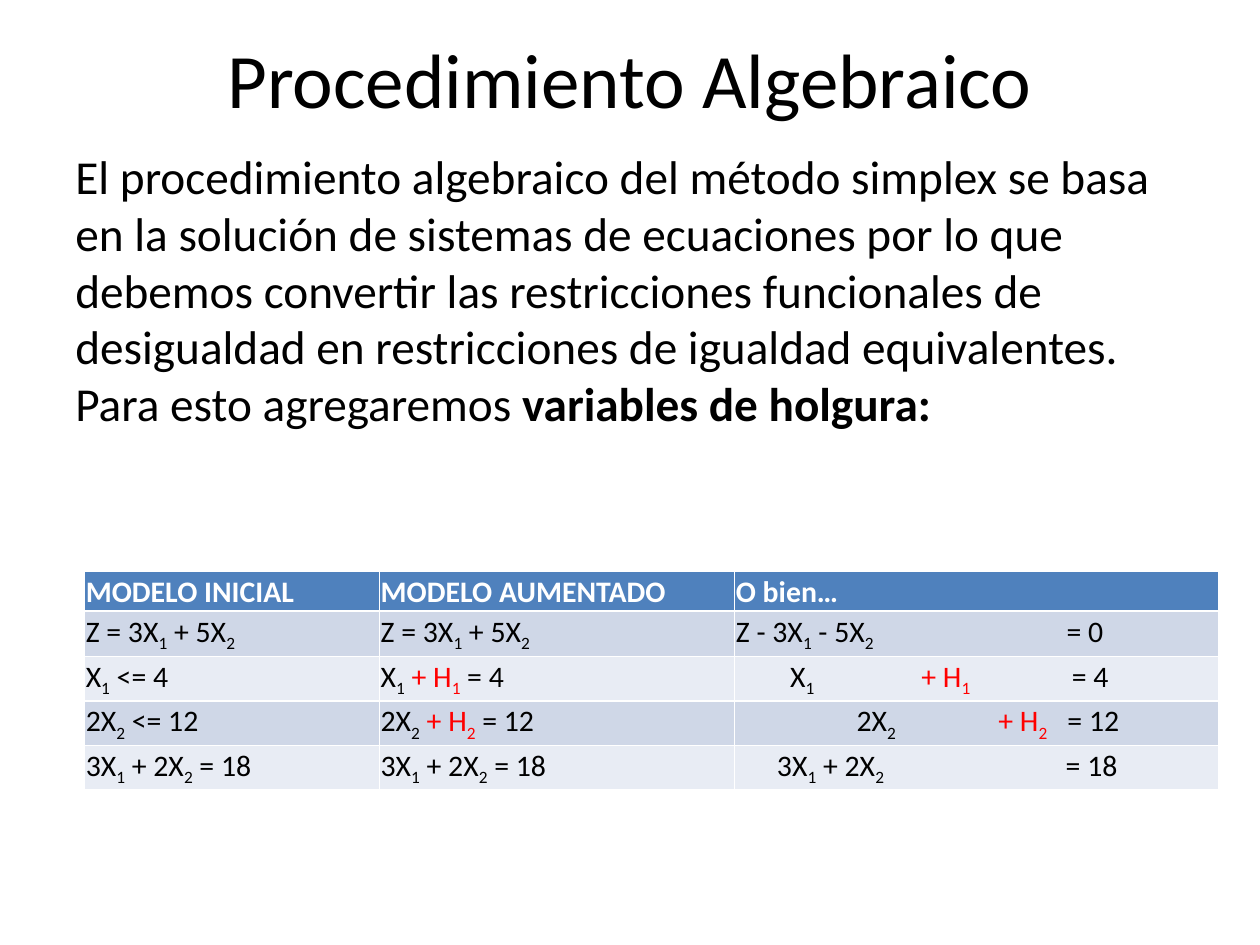
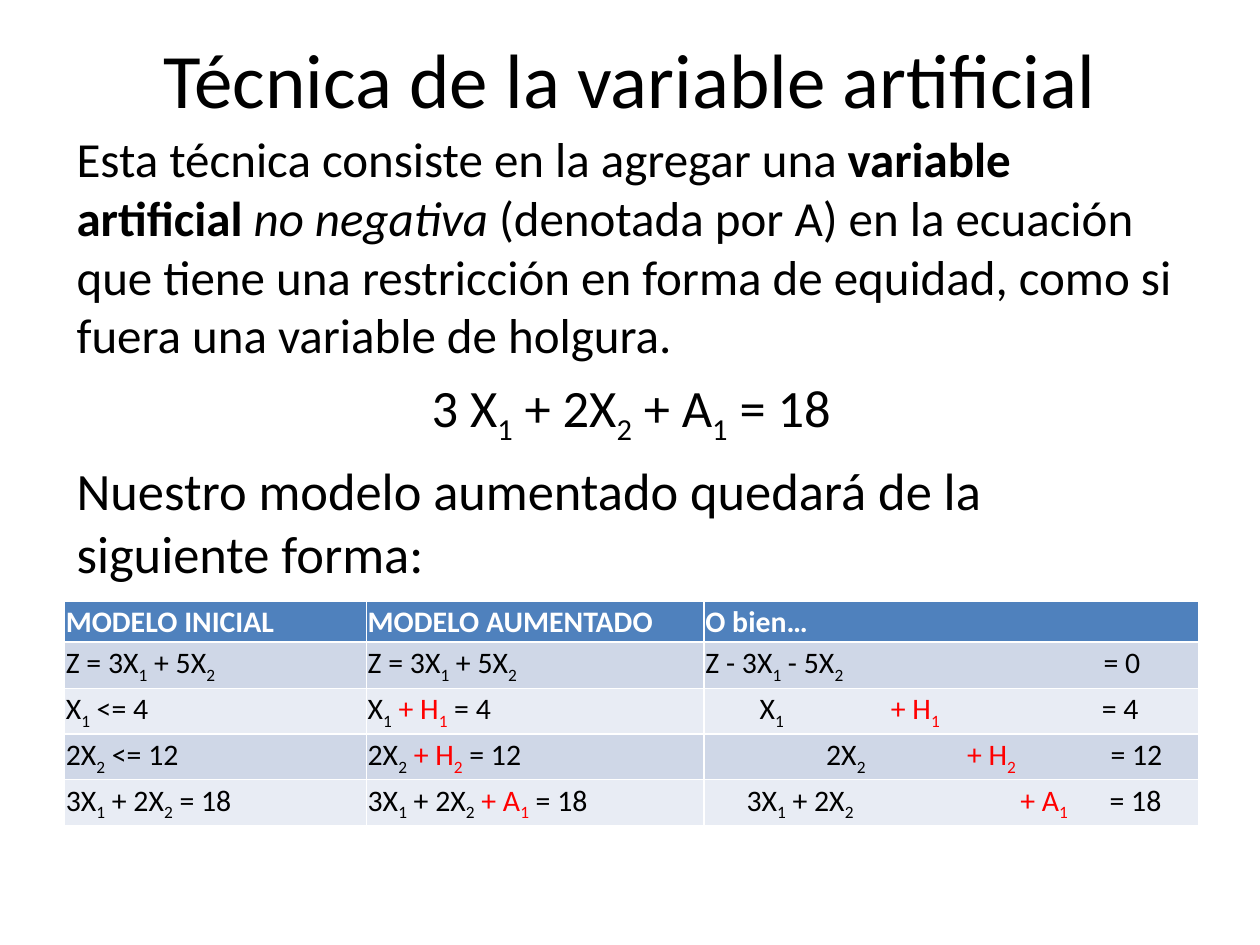
from lxml import etree
from pptx import Presentation
from pptx.dml.color import RGBColor
from pptx.enum import text
from pptx.oxml import ns
from pptx.util import Pt

BLACK = RGBColor(0x00, 0x00, 0x00)
WHITE = RGBColor(0xFF, 0xFF, 0xFF)
RED = RGBColor(0xFF, 0x00, 0x00)
HEADER_BLUE = RGBColor(0x4F, 0x81, 0xBD)
BANDS = (RGBColor(0xCF, 0xD7, 0xE7), RGBColor(0xE8, 0xEC, 0xF4))
FONT = "Calibri"
TABLE_SIZE = 17
BODY_WIDTH = 648

HEADERS = ["MODELO INICIAL", "MODELO AUMENTADO", "O bien…"]
INITIAL = ["Z = 3X_1 + 5X_2", "X_1 <= 4", "2X_2 <= 12", "3X_1 + 2X_2 = 18"]
AUGMENTED = ["Z = 3X_1 + 5X_2", "X_1 {+ H_1} = 4", "2X_2 {+ H_2} = 12"]


def style(paragraph, size, color=BLACK, bold=False):
    font = paragraph.font
    font.name = FONT
    font.size = Pt(size)
    font.bold = bold
    font.color.rgb = color


def add_formula(paragraph, formula):
    for index, part in enumerate(formula.replace("}", "{").split("{")):
        color = RED if index % 2 else None
        base, *indexed = part.split("_")
        add_run(paragraph, base, color)
        for piece in indexed:
            add_run(paragraph, piece[0], color, subscript=True)
            add_run(paragraph, piece[1:], color)


def add_run(paragraph, words, color=None, subscript=False):
    if not words:
        return
    run = paragraph.add_run()
    run.text = words
    if color is not None:
        run.font.color.rgb = color
    if subscript:
        run._r.get_or_add_rPr().set("baseline", "-25000")


def add_text_box(slide, left, top, height, anchor=text.MSO_ANCHOR.TOP):
    box = slide.shapes.add_textbox(Pt(left), Pt(top), Pt(BODY_WIDTH), Pt(height))
    frame = box.text_frame
    frame.word_wrap = True
    frame.vertical_anchor = anchor
    frame.margin_left = frame.margin_right = Pt(7.2)
    frame.margin_top = frame.margin_bottom = Pt(7.2)
    return frame


def add_title(slide, title):
    frame = add_text_box(slide, 36, 0, 89, text.MSO_ANCHOR.MIDDLE)
    paragraph = frame.paragraphs[0]
    paragraph.text = title
    paragraph.alignment = text.PP_ALIGN.CENTER
    style(paragraph, 44)


def add_sentence(paragraph, size, *pieces):
    style(paragraph, size)
    for words, bold, italic in pieces:
        run = paragraph.add_run()
        run.text = words
        if bold:
            run.font.bold = True
        if italic:
            run.font.italic = True


def add_paragraph(frame, size, formula, alignment=text.PP_ALIGN.LEFT):
    paragraph = frame.add_paragraph()
    paragraph.alignment = alignment
    paragraph.space_before = Pt(6.4)
    style(paragraph, size)
    add_formula(paragraph, formula)


def set_tabs(paragraph, stops):
    tab_list = etree.SubElement(paragraph._p.get_or_add_pPr(), ns.qn("a:tabLst"))
    for stop in stops:
        etree.SubElement(tab_list, ns.qn("a:tab"), pos=str(Pt(stop)), algn="l")


def set_borders(cell, widths):
    properties = cell._tc.get_or_add_tcPr()
    for side, width in zip("LRTB", widths):
        line = etree.SubElement(properties, ns.qn("a:ln" + side), w=str(Pt(width)))
        fill = etree.SubElement(line, ns.qn("a:solidFill"))
        etree.SubElement(fill, ns.qn("a:srgbClr"), val=str(WHITE))


def fill_cell(cell, row, formula, stops=()):
    cell.margin_left = cell.margin_right = cell.margin_top = Pt(0.72)
    cell.margin_bottom = 0
    cell.vertical_anchor = text.MSO_ANCHOR.MIDDLE
    set_borders(cell, (1, 1, 1.5 if row == 1 else 1, 1.5 if row == 0 else 1))
    cell.fill.solid()
    cell.fill.fore_color.rgb = BANDS[(row - 1) % 2] if row else HEADER_BLUE
    paragraph = cell.text_frame.paragraphs[0]
    if stops:
        set_tabs(paragraph, stops)
    style(paragraph, TABLE_SIZE, BLACK if row else WHITE, bold=row == 0)
    add_formula(paragraph, formula)


def add_model_table(slide, left, top, widths, heights, augmented, aligned):
    rows = len(INITIAL) + 1
    table = slide.shapes.add_table(rows, len(widths), Pt(left), Pt(top),
                                   Pt(sum(widths)), Pt(sum(heights))).table
    for column, width in zip(table.columns, widths):
        column.width = Pt(width)
    for row, height in zip(table.rows, heights):
        row.height = Pt(height)
    for column, header in enumerate(HEADERS):
        fill_cell(table.cell(0, column), 0, header)
    for row, (start, full, (equation, stops)) in enumerate(
            zip(INITIAL, augmented, aligned), 1):
        fill_cell(table.cell(row, 0), row, start)
        fill_cell(table.cell(row, 1), row, full)
        fill_cell(table.cell(row, 2), row, equation, stops)


def add_procedure_slide(slide):
    add_title(slide, "Procedimiento Algebraico")
    frame = add_text_box(slide, 36, 77, 181.5)
    add_sentence(
        frame.paragraphs[0], 27,
        ("El procedimiento algebraico del método simplex se basa en la solución "
         "de sistemas de ecuaciones por lo que debemos convertir las restricciones "
         "funcionales de desigualdad en restricciones de igualdad equivalentes. "
         "Para esto agregaremos ", False, False),
        ("variables de holgura:", True, False))
    add_model_table(
        slide, 48.3, 326.7, (168.5, 203, 276.5), (22.4, 26, 25.4, 25.4, 25.4),
        AUGMENTED + ["3X_1 + 2X_2 = 18"],
        [("Z - 3X_1 - 5X_2\t= 0", (189,)),
         ("\tX_1\t{+ H_1}\t= 4", (31, 106, 192)),
         ("\t2X_2\t{+ H_2}\t= 12", (69, 150, 189.5)),
         ("\t3X_1 + 2X_2\t= 18", (23.5, 188.5))])


def add_artificial_variable_slide(slide):
    add_title(slide, "Técnica de la variable artificial")
    frame = add_text_box(slide, 36.7, 66.2, 255)
    add_sentence(
        frame.paragraphs[0], 28,
        ("Esta técnica consiste en la agregar una ", False, False),
        ("variable artificial ", True, False),
        ("no negativa ", False, True),
        ("(denotada por A) en la ecuación que tiene una restricción en forma de "
         "equidad, como si fuera una variable de holgura.", False, False))
    add_paragraph(frame, 30, "3 X_1 + 2X_2 + A_1 = 18", text.PP_ALIGN.CENTER)
    add_paragraph(frame, 30, "Nuestro modelo aumentado quedará de la siguiente forma:")
    add_model_table(
        slide, 36.9, 343.6, (172.5, 193, 282.5), (23.2, 26.6, 26.1, 26.1, 26.1),
        AUGMENTED + ["3X_1 + 2X_2 {+ A_1} = 18"],
        [("Z - 3X_1 - 5X_2\t= 0", (227.5,)),
         ("\tX_1\t{+ H_1}\t= 4", (31, 106, 226.5)),
         ("\t2X_2\t{+ H_2}\t= 12", (69, 149.5, 231.5)),
         ("\t3X_1 + 2X_2\t{+ A_1}\t= 18", (23.5, 180, 231))])


def main():
    presentation = Presentation()
    presentation.slide_width = Pt(720)
    presentation.slide_height = Pt(540)
    blank = presentation.slide_layouts[6]
    for build in (add_procedure_slide, add_artificial_variable_slide):
        build(presentation.slides.add_slide(blank))
    presentation.save("out.pptx")


if __name__ == "__main__":
    main()
